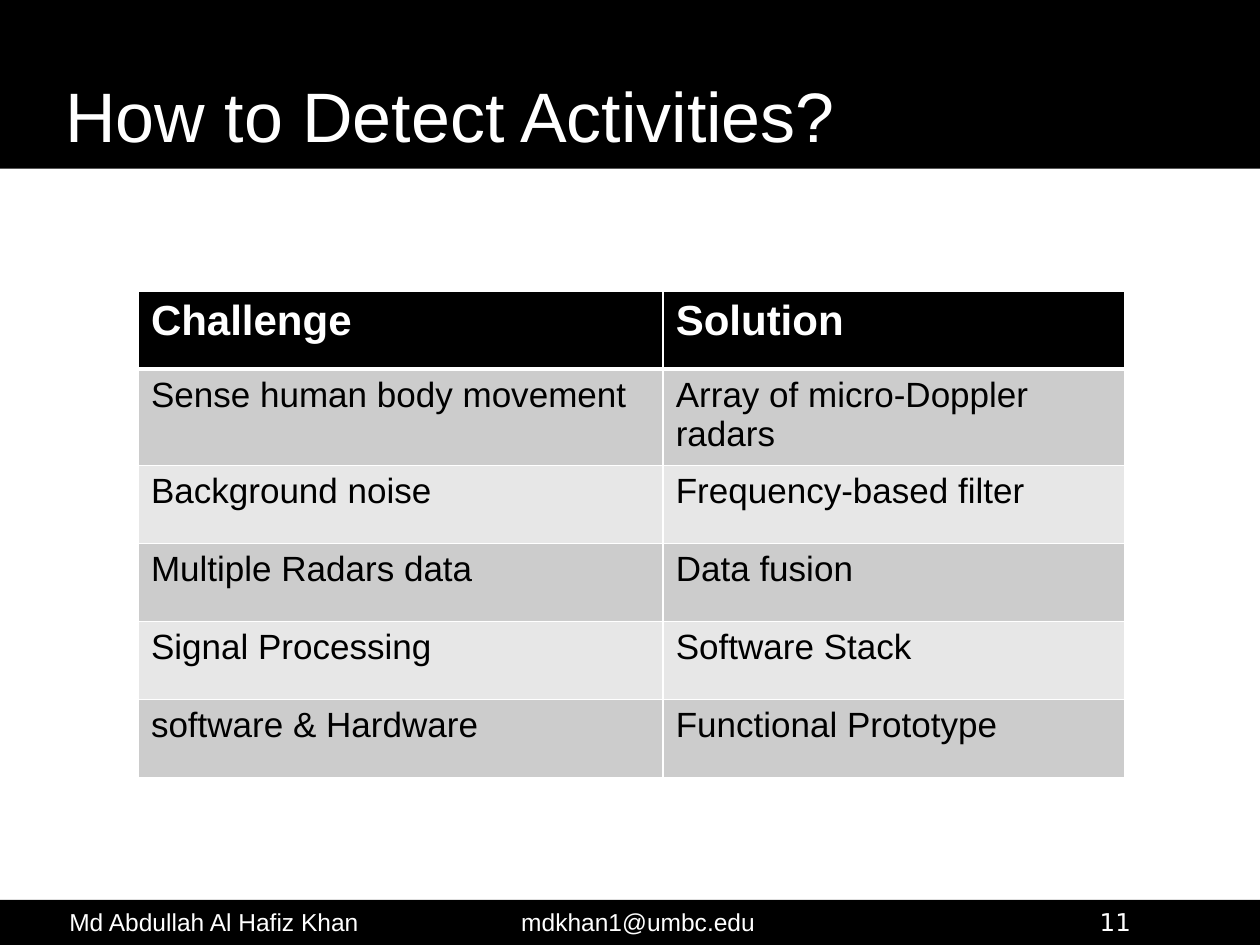
from lxml import etree
from pptx import Presentation
from pptx.dml.color import RGBColor
from pptx.enum.shapes import MSO_SHAPE
from pptx.enum.text import MSO_ANCHOR, PP_ALIGN
from pptx.oxml.ns import qn
from pptx.util import Cm, Pt

RECTANGLE = MSO_SHAPE.RECTANGLE
TOP, BOTTOM = MSO_ANCHOR.TOP, MSO_ANCHOR.BOTTOM
LEFT, CENTER = PP_ALIGN.LEFT, PP_ALIGN.CENTER

BLACK = RGBColor(0x00, 0x00, 0x00)
WHITE = RGBColor(0xFF, 0xFF, 0xFF)
DARK_BAND = RGBColor(0xCC, 0xCC, 0xCC)
LIGHT_BAND = RGBColor(0xE7, 0xE7, 0xE7)

SLIDE_WIDTH, SLIDE_HEIGHT = 25.4, 19.05
FOOTER_TOP = 18.16
FOOTER_HEIGHT = 0.76

ROWS = [
    ("Challenge", "Solution"),
    ("Sense human body movement", "Array of micro-Doppler radars"),
    ("Background noise", "Frequency-based filter"),
    ("Multiple Radars data", "Data fusion"),
    ("Signal Processing", "Software Stack"),
    ("software & Hardware", "Functional Prototype"),
]


class SlideBuilder:
    font_name = "Arial"
    border_color = WHITE

    def __init__(self, slide):
        self.slide = slide

    def bar(self, left, top, width, height):
        shape = self.slide.shapes.add_shape(
            RECTANGLE, Cm(left), Cm(top), Cm(width), Cm(height))
        shape.shadow.inherit = False
        shape.fill.solid()
        shape.fill.fore_color.rgb = BLACK
        shape.line.fill.background()

    def run(self, paragraph, text, size, color, bold=False, font_name=None):
        run = paragraph.add_run()
        run.text = text
        run.font.name = font_name or self.font_name
        run.font.size = Pt(size)
        run.font.bold = bold
        run.font.color.rgb = color

    def text(self, left, top, width, height, text, size=14,
             alignment=LEFT, anchor=TOP, font_name=None):
        shape = self.slide.shapes.add_textbox(
            Cm(left), Cm(top), Cm(width), Cm(height))
        frame = shape.text_frame
        frame.word_wrap = True
        frame.vertical_anchor = anchor
        paragraph = frame.paragraphs[0]
        paragraph.alignment = alignment
        self.run(paragraph, text, size, WHITE, font_name=font_name)

    def border(self, cell, side, width):
        properties = cell._tc.get_or_add_tcPr()
        line = etree.SubElement(properties, qn(f"a:{side}"), w=str(Pt(width)))
        fill = etree.SubElement(line, qn("a:solidFill"))
        etree.SubElement(fill, qn("a:srgbClr"), val=str(self.border_color))

    def cell(self, cell, text, row):
        header = row == 0
        widths = {
            "lnL": 1,
            "lnR": 1,
            "lnT": 3 if row == 1 else 1,
            "lnB": 3 if header else 1,
        }
        for side, width in widths.items():
            self.border(cell, side, width)
        cell.fill.solid()
        if header:
            cell.fill.fore_color.rgb = BLACK
        else:
            cell.fill.fore_color.rgb = DARK_BAND if row % 2 else LIGHT_BAND
        paragraph = cell.text_frame.paragraphs[0]
        paragraph.alignment = LEFT
        self.run(paragraph, text, 24 if header else 20,
                 WHITE if header else BLACK, bold=header)

    def table(self, left, top, column_widths, row_height, rows):
        table = self.slide.shapes.add_table(
            len(rows), len(column_widths), Cm(left), Cm(top),
            Cm(sum(column_widths)), Cm(row_height * len(rows))).table
        for column, width in zip(table.columns, column_widths):
            column.width = Cm(width)
        for row, texts in enumerate(rows):
            table.rows[row].height = Cm(row_height)
            for column, text in enumerate(texts):
                self.cell(table.cell(row, column), text, row)


def main():
    presentation = Presentation()
    presentation.slide_width = Cm(SLIDE_WIDTH)
    presentation.slide_height = Cm(SLIDE_HEIGHT)
    slide = presentation.slides.add_slide(presentation.slide_layouts[6])
    builder = SlideBuilder(slide)

    builder.bar(0, 0, SLIDE_WIDTH, 3.4)
    builder.bar(0, 18.14, SLIDE_WIDTH, 0.91)
    builder.text(0.58, FOOTER_TOP, 7.47, FOOTER_HEIGHT,
                 "Md Abdullah Al Hafiz Khan", alignment=CENTER)
    builder.text(8.56, FOOTER_TOP, 8.61, FOOTER_HEIGHT,
                 "mdkhan1@umbc.edu", alignment=CENTER)
    builder.text(1.07, 1.17, 23.22, 2.11, "How to Detect Activities?",
                 size=40, anchor=BOTTOM)
    builder.text(21.92, FOOTER_TOP, 2.44, FOOTER_HEIGHT, "11",
                 font_name="DejaVu Sans")
    builder.table(2.79, 5.87, (10.58, 9.31), 1.57, ROWS)

    presentation.save("out.pptx")


if __name__ == "__main__":
    main()
